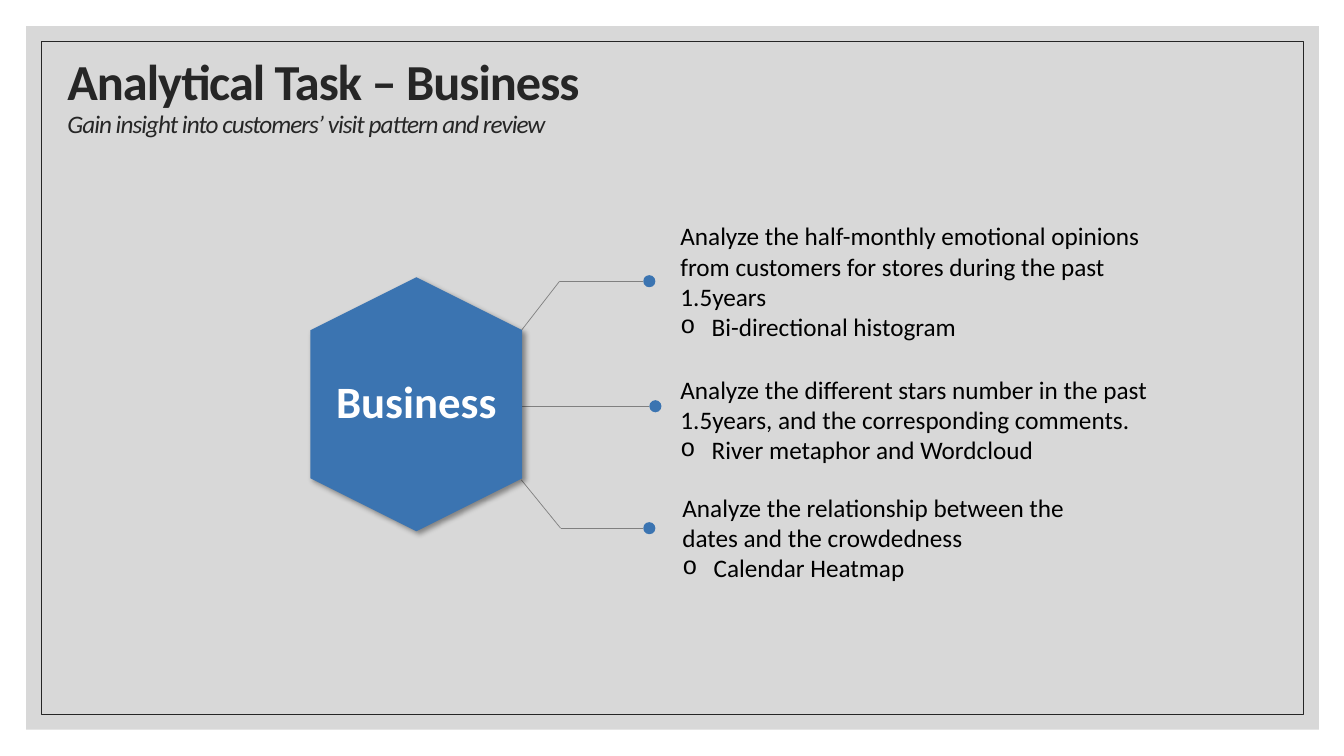
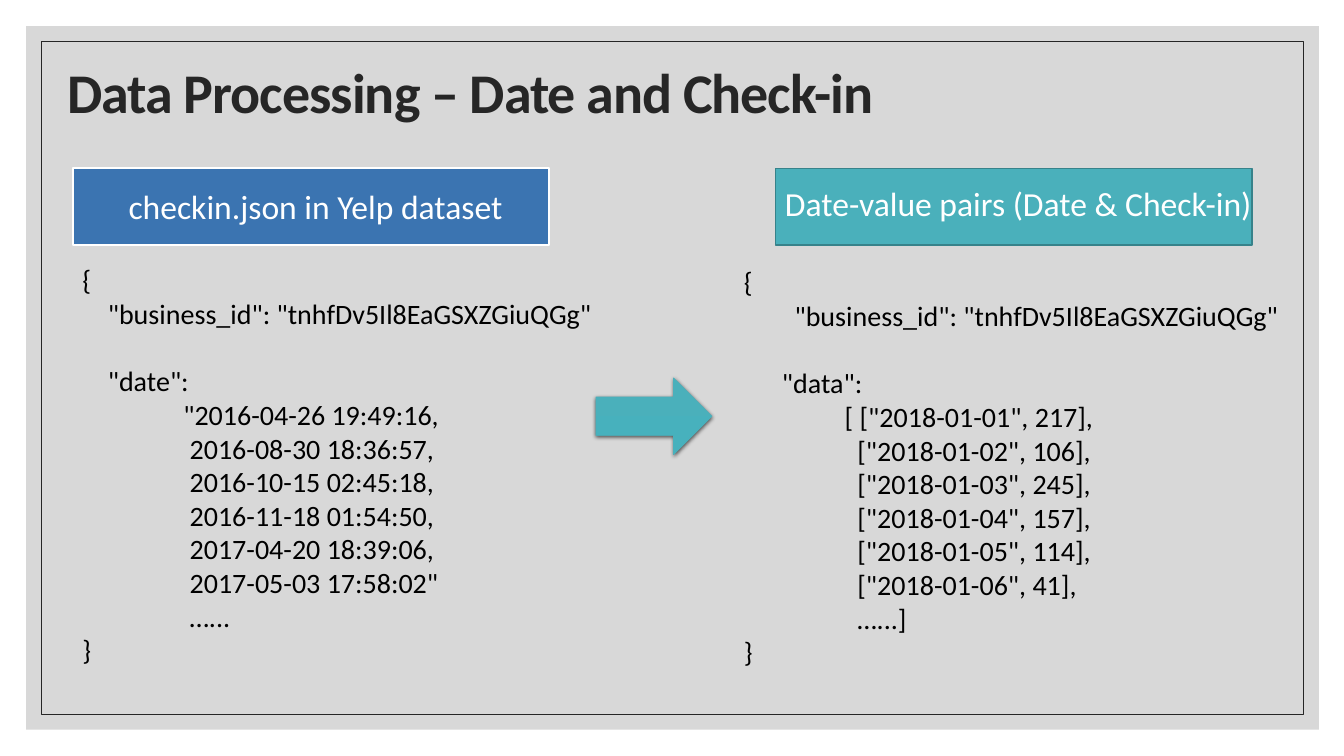
from itertools import pairwise

from lxml.etree import SubElement
from pptx import Presentation
from pptx.dml.color import RGBColor
from pptx.enum.shapes import MSO_CONNECTOR, MSO_SHAPE
from pptx.enum.text import MSO_ANCHOR, PP_ALIGN
from pptx.oxml import parse_xml
from pptx.oxml.ns import nsdecls, qn
from pptx.util import Inches, Pt

WHITE = RGBColor(0xFF, 0xFF, 0xFF)
BLACK = RGBColor(0x00, 0x00, 0x00)
PANEL_GRAY = RGBColor(0xD8, 0xD8, 0xD8)
INK = RGBColor(0x26, 0x26, 0x26)
LINE_GRAY = RGBColor(0x80, 0x80, 0x80)
BLUE = RGBColor(0x3B, 0x74, 0xB1)
TEAL = RGBColor(0x4A, 0xB0, 0xBB)
TEAL_MID = RGBColor(0x47, 0xB1, 0xBD)
TEAL_DARK = RGBColor(0x37, 0x82, 0x8A)

FONT = "Calibri"
BULLET_FONT = "Courier New"
HEADING = {"name": FONT, "bold": True}
SUBHEADING = {"name": FONT, "size": Pt(18), "italic": True}
BODY = {"name": FONT, "size": Pt(18)}
CODE = {"name": FONT, "size": Pt(20)}
BAND = {"name": FONT, "size": Pt(24)}
HUB = {"name": FONT, "size": Pt(32), "bold": True}


def add_block(slide, kind, box, fill=None, line=None, width=0.5):
    """Add a shape without theme shadow; kind None gives a wrapping text box."""
    place = [Inches(length) for length in box]
    if kind is None:
        block = slide.shapes.add_textbox(*place)
        block.text_frame.word_wrap = True
        return block
    block = slide.shapes.add_shape(kind, *place)
    block.shadow.inherit = False
    if fill is None:
        block.fill.background()
    else:
        block.fill.solid()
        block.fill.fore_color.rgb = fill
    if line is None:
        block.line.fill.background()
    else:
        block.line.color.rgb = line
        block.line.width = Pt(width)
    return block


def add_text(paragraph, text, formats, color):
    run = paragraph.add_run()
    run.text = text
    for attribute, value in formats.items():
        setattr(run.font, attribute, value)
    run.font.color.rgb = color
    return run


prs = Presentation()
prs.slide_width = Inches(13.33)
prs.slide_height = Inches(7.5)

# Shared panel, frame and title
headings = [
    ("Analytical Task – Business", 36, 0.82,
     "Gain insight into customers’ visit pattern and review"),
    ("Data Processing – Date and Check-in", 40, 0.78, None),
]
slides = []
for heading, size, height, subheading in headings:
    slide = prs.slides.add_slide(prs.slide_layouts[6])
    slides.append(slide)
    add_block(slide, MSO_SHAPE.RECTANGLE, (0.26, 0.26, 12.82, 6.98), PANEL_GRAY)
    add_block(slide, MSO_SHAPE.RECTANGLE, (0.41, 0.41, 12.52, 6.68), line=INK)
    frame = add_block(slide, None, (0.57, 0.56, 12.27, height)).text_frame
    frame.vertical_anchor = MSO_ANCHOR.MIDDLE
    title_lines = [(heading, HEADING | {"size": Pt(size)})]
    if subheading:
        title_lines.append((subheading, SUBHEADING))
    for index, (text, formats) in enumerate(title_lines):
        paragraph = frame.add_paragraph() if index else frame.paragraphs[0]
        paragraph.line_spacing = 0.9
        run = add_text(paragraph, text, formats, INK)
        run.font._element.set("spc", "-70")

business, processing = slides

# Business tasks: branch points, dot and text
DOT = 0.12
tasks = [
    ([(5.17, 3.28), (5.55, 2.79), (6.38, 2.79)], (6.65, 2.14, 5.03, 1.31),
     "Analyze the half-monthly emotional opinions from customers for stores "
     "during the past 1.5years", "Bi-directional histogram"),
    ([(5.17, 4.03), (6.44, 4.03)], (6.65, 3.66, 5.03, 1.01),
     "Analyze the different stars number in the past 1.5years, and the "
     "corresponding comments.", "River metaphor and Wordcloud"),
    ([(5.17, 4.76), (5.56, 5.24), (6.38, 5.24)], (6.67, 4.83, 4.2, 1.01),
     "Analyze the relationship between the dates and the crowdedness",
     "Calendar Heatmap"),
]
for branch, box, task, method in tasks:
    for start, end in pairwise(branch):
        branch_line = business.shapes.add_connector(
            MSO_CONNECTOR.STRAIGHT, *[Inches(length) for length in start + end])
        branch_line.line.color.rgb = LINE_GRAY
        branch_line.line.width = Pt(0.5)
        SubElement(branch_line._element.spPr, qn("a:effectLst"))
    dot_left, dot_middle = branch[-1]
    add_block(business, MSO_SHAPE.OVAL,
              (dot_left, dot_middle - DOT / 2, DOT, DOT), BLUE)

    frame = add_block(business, None, box).text_frame
    add_text(frame.paragraphs[0], task, BODY, BLACK)
    bullet = frame.add_paragraph()
    properties = bullet._p.get_or_add_pPr()
    properties.set("marL", str(Inches(0.31)))
    properties.set("indent", str(-Inches(0.31)))
    SubElement(properties, qn("a:buFont")).set("typeface", BULLET_FONT)
    SubElement(properties, qn("a:buChar")).set("char", "o")
    add_text(bullet, method, BODY, BLACK)

# Business hub
hub = add_block(business, MSO_SHAPE.HEXAGON, (2.87, 2.96, 2.52, 2.1), BLUE)
hub.rotation = 270
hub_label = add_block(business, None, (3.08, 3.66, 2.1, 0.64)).text_frame
hub_label.paragraphs[0].alignment = PP_ALIGN.CENTER
add_text(hub_label.paragraphs[0], "Business", HUB, WHITE)

# Header bands, the second with its label raised
bands = [
    (0.72, "checkin.json in Yelp dataset", BLUE, WHITE, 1.5, 0.06),
    (7.69, "Date-value pairs (Date & Check-in)", TEAL, TEAL_DARK, 1, 0.12),
]
for left, label, fill, line, width, bottom in bands:
    band = add_block(processing, MSO_SHAPE.RECTANGLE, (left, 1.67, 4.73, 0.76),
                     fill, line, width)
    frame = band.text_frame
    frame.margin_left, frame.margin_right = Inches(0.09), 0
    frame.margin_bottom = Inches(bottom)
    frame.vertical_anchor = MSO_ANCHOR.MIDDLE
    frame.paragraphs[0].alignment = PP_ALIGN.CENTER
    add_text(frame.paragraphs[0], label, BAND, WHITE)

# JSON before and after
CHECKIN_JSON = """{
    "business_id": "tnhfDv5Il8EaGSXZGiuQGg"
    "date":
\t"2016-04-26 19:49:16,
\t 2016-08-30 18:36:57,
\t 2016-10-15 02:45:18,
\t 2016-11-18 01:54:50,
\t 2017-04-20 18:39:06,
\t 2017-05-03 17:58:02"
\t …...
}"""
PAIRS_JSON = """{
        "business_id": "tnhfDv5Il8EaGSXZGiuQGg"
      "data":
\t[ ["2018-01-01", 217],
\t  ["2018-01-02", 106],
\t  ["2018-01-03", 245],
\t  ["2018-01-04", 157],
\t  ["2018-01-05", 114],
\t  ["2018-01-06", 41],
\t  …...]
}"""
GAP_BEFORE_LINE = 2
for box, code in [((0.72, 2.56, 5.33, 4.14), CHECKIN_JSON),
                  ((7.28, 2.58, 5.7, 4.14), PAIRS_JSON)]:
    frame = add_block(processing, None, box).text_frame
    for index, code_line in enumerate(code.splitlines()):
        paragraph = frame.add_paragraph() if index else frame.paragraphs[0]
        if index == GAP_BEFORE_LINE:
            paragraph.space_before = Pt(24)
        if code_line.startswith("\t"):
            tabs = SubElement(paragraph._p.get_or_add_pPr(), qn("a:tabLst"))
            tab = SubElement(tabs, qn("a:tab"))
            tab.set("pos", str(Inches(1)))
            tab.set("algn", "l")
        add_text(paragraph, code_line, CODE, BLACK)

# Conversion arrow
arrow = add_block(processing, MSO_SHAPE.RIGHT_ARROW, (5.91, 3.75, 1.15, 0.76),
                  TEAL, TEAL)
arrow.fill.gradient()
arrow.fill.gradient_angle = 270
for stop, color in zip(arrow.fill.gradient_stops, (TEAL, TEAL_MID)):
    stop.color.rgb = color

# Soft shadows: blur and distance in points, direction in degrees, opacity in %
for block, blur, distance, direction, opacity in [(hub, 4, 3, 45, 40),
                                                  (arrow, 3, 1, 90, 63)]:
    effects = block._element.spPr.find(qn("a:effectLst"))
    effects.append(parse_xml(
        f'<a:outerShdw {nsdecls("a")} blurRad="{Pt(blur)}" dist="{Pt(distance)}" '
        f'dir="{direction * 60000}" algn="ctr" rotWithShape="0">'
        f'<a:srgbClr val="{BLACK}"><a:alpha val="{opacity * 1000}"/></a:srgbClr>'
        '</a:outerShdw>'))

prs.save("out.pptx")
